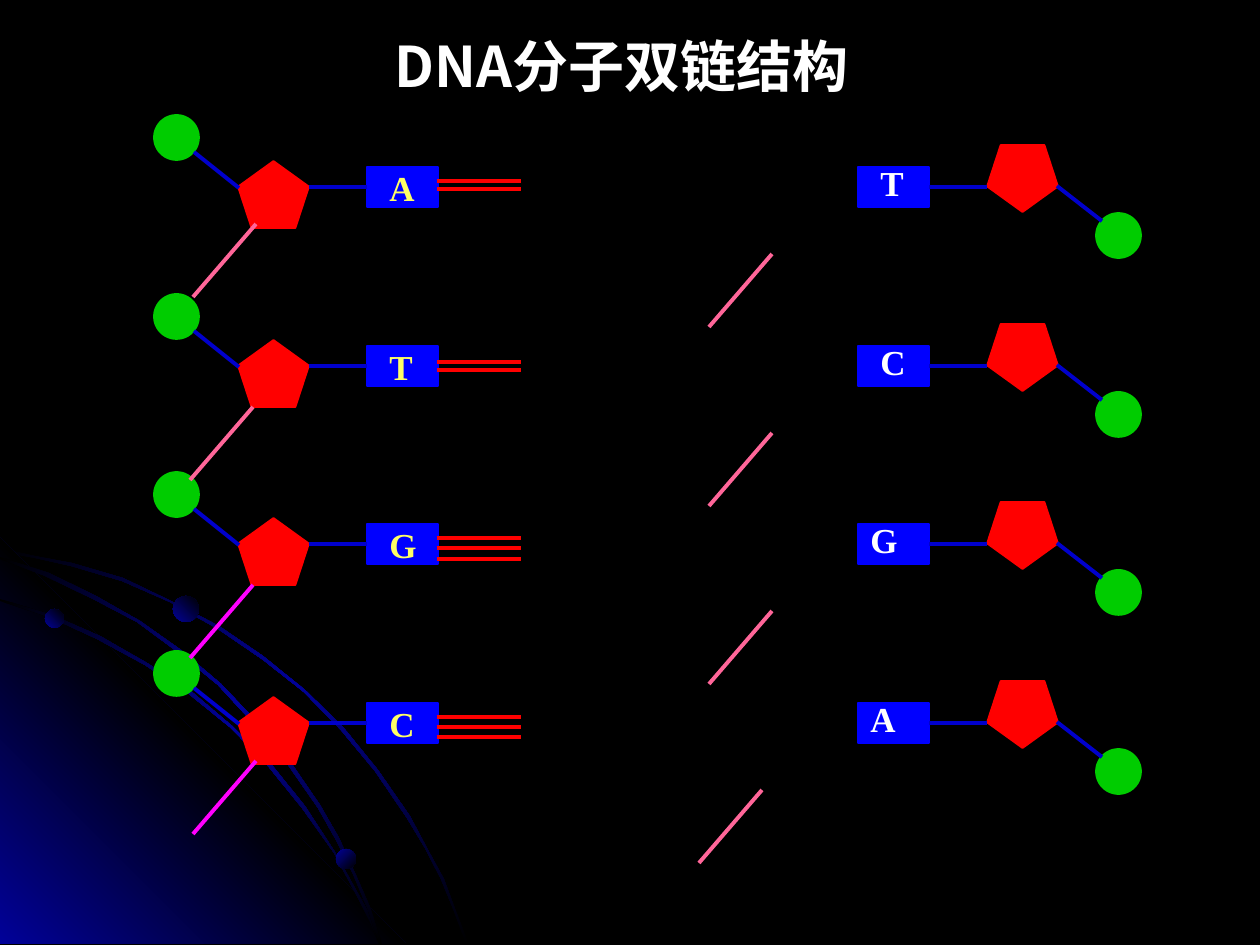
from lxml.etree import SubElement
from pptx import Presentation
from pptx.dml.color import RGBColor
from pptx.enum.shapes import MSO_CONNECTOR, MSO_SHAPE
from pptx.enum.text import MSO_ANCHOR, MSO_AUTO_SIZE, PP_ALIGN
from pptx.oxml.ns import qn
from pptx.util import Pt

PX = 914400 / 126
rgb = RGBColor.from_string


def add_shape(kind, x, y, w, h, color):
    sp = s.shapes.add_shape(kind, *(round(v * PX) for v in (x, y, w, h)))
    sp.shadow.inherit = False
    sp.fill.solid()
    sp.fill.fore_color.rgb = rgb(color)
    sp.line.color.rgb = rgb(color)
    sp.line.width = Pt(1)
    return sp


def add_line(x1, y1, x2, y2, color):
    ln = s.shapes.add_connector(
        MSO_CONNECTOR.STRAIGHT, *(round(v * PX) for v in (x1, y1, x2, y2)))
    ln.line.color.rgb = rgb(color)
    ln.line.width = Pt(2.25)
    SubElement(ln._element.spPr, qn("a:effectLst"))
    return ln


prs = Presentation()
prs.slide_width = round(1260 * PX)
prs.slide_height = round(945 * PX)
s = prs.slides.add_slide(prs.slide_layouts[5])
s.background.fill.solid()
s.background.fill.fore_color.rgb = rgb("000000")

# Title
title = s.shapes.title
title.left, title.top, title.width, title.height = (
    round(v * PX) for v in (382, 26, 546, 79))
tf = title.text_frame
tf.text = "DNA分子双链结构"
tf.word_wrap = True
tf.auto_size = MSO_AUTO_SIZE.NONE
tf.vertical_anchor = MSO_ANCHOR.MIDDLE
p = tf.paragraphs[0]
p.alignment = PP_ALIGN.LEFT
p.font.size = Pt(32)
p.font.bold = True
p.font.name = "Noto Sans CJK JP"
p.font.color.rgb = rgb("FFFFFF")
SubElement(p._p.pPr.find(qn("a:defRPr")), qn("a:ea"), typeface="Noto Sans CJK JP")

# Background: glowing corner, orbit bands and planets
outer_orbit = [
    (72, 563), (35, 556), (0, 548), (0, 552), (35, 558), (71, 566), (122, 581),
    (170, 602), (218, 629), (262, 659), (304, 692), (341, 730), (375, 771),
    (407, 818), (425, 848), (441, 879), (454, 911), (466, 944), (469, 944),
    (456, 911), (444, 879), (427, 848), (410, 816), (378, 770), (343, 727),
    (305, 690), (263, 656), (219, 626), (171, 601), (123, 578)]
corner = [(406, 944), (0, 944), (0, 538)]
inner_orbit = [
    (359, 900), (370, 922), (379, 944), (382, 944), (373, 920), (360, 897),
    (335, 852), (305, 806), (271, 764), (232, 726), (192, 692), (147, 663),
    (100, 636), (52, 615), (0, 599), (0, 601), (49, 617), (97, 639), (145, 665),
    (189, 694), (231, 728), (268, 766), (302, 808), (334, 853)]
middle_orbit = [
    (0, 557), (0, 559), (45, 576), (93, 599), (137, 622), (179, 653), (218, 685),
    (255, 725), (286, 762), (318, 808), (336, 840), (353, 874), (368, 910),
    (379, 944), (382, 944), (370, 907), (355, 873), (339, 838), (320, 805),
    (289, 760), (257, 722), (221, 684), (181, 650), (140, 621), (96, 596), (49, 573)]
BLUE, BLACK = "010199", "000000"
glows = []
for points in (outer_orbit, corner, inner_orbit, middle_orbit):
    builder = s.shapes.build_freeform(*points[0], scale=PX)
    builder.add_line_segments(points[1:], close=True)
    if points is corner:
        glows.append((builder.convert_to_shape(), [BLUE, BLACK, BLUE], 45))
    else:
        glows.append((builder.convert_to_shape(), [BLACK, BLUE, BLACK], 315))
for x, y, d, angle in ((45, 609, 19, 45), (336, 849, 20, 315), (173, 596, 26, 45)):
    glows.append((add_shape(MSO_SHAPE.OVAL, x, y, d, d, BLUE), [BLUE, BLACK], angle))
for sp, colors, angle in glows:
    sp.shadow.inherit = False
    sp.line.fill.background()
    sp.fill.gradient()
    sp.fill.gradient_angle = angle
    stops = sp._element.spPr.find(qn("a:gradFill")).find(qn("a:gsLst"))
    stops.clear()
    for i, color in enumerate(colors):
        gs = SubElement(stops, qn("a:gs"), pos=str(100000 * i // (len(colors) - 1)))
        SubElement(gs, qn("a:srgbClr"), val=color)

# Nucleotides: sugar, base, phosphate, links and letter, row by row
strands = [
    # sugar, base, phosphate, sugar x, base side, phosphate link, turn
    ((238, 161), (367, 167), (154, 115), 309, 1, (194, 152, 239, 188), 0),
    ((987, 145), (858, 167), (1096, 213), 987, 3, (1102, 221, 1057, 186), 180)]
letters = [
    [("A", 377), ("T", 377), ("G", 377), ("C", 377)],
    [("T", 868), ("C", 868), ("G", 858), ("A", 858)]]
for strand, row_letters, color, top in zip(
        strands, letters, ("FFFF66", "FFFFFF"), (160, 155)):
    sugar, base, phosphate, sugar_x, side, (x1, y1, x2, y2), turn = strand
    for row, (letter, x) in enumerate(row_letters):
        dy = (357 * row + 1) // 2
        pentagon = add_shape(
            MSO_SHAPE.REGULAR_PENTAGON, sugar[0], sugar[1] + dy, 71, 67, "FF0000")
        pentagon.rotation = turn
        rect = add_shape(MSO_SHAPE.RECTANGLE, base[0], base[1] + dy, 71, 40, "0000FF")
        add_shape(MSO_SHAPE.OVAL, phosphate[0], phosphate[1] + dy, 45, 45, "00CC00")
        base_x = base[0] if side == 1 else base[0] + 71
        link = add_line(sugar_x, 187 + dy, base_x, 187 + dy, "0000CC")
        link.end_connect(rect, side)
        add_line(x1, y1 + dy, x2, y2 + dy, "0000CC")

        box = s.shapes.add_textbox(
            *(round(v * PX) for v in (x, top + dy, 52, 54)))
        tf = box.text_frame
        tf.text = letter
        tf.word_wrap = True
        p = tf.paragraphs[0]
        p.font.size = Pt(20)
        p.font.bold = True
        p.font.name = "Times New Roman"
        p.font.color.rgb = rgb(color)

# Backbone links between rows
for x, y, color in (
        (256, 224, "FF6699"), (253, 407, "FF6699"),
        (253, 585, "FF00FF"), (256, 761, "FF00FF"),
        (772, 254, "FF6699"), (772, 433, "FF6699"),
        (772, 611, "FF6699"), (762, 790, "FF6699")):
    add_line(x, y, x - 63, y + 73, color)

# Hydrogen bonds: two for A and T, three for G and C
for y in (181, 189, 362, 370, 538, 548, 559, 717, 727, 737):
    add_line(437, y, 521, y, "FF0000")

prs.save("out.pptx")
